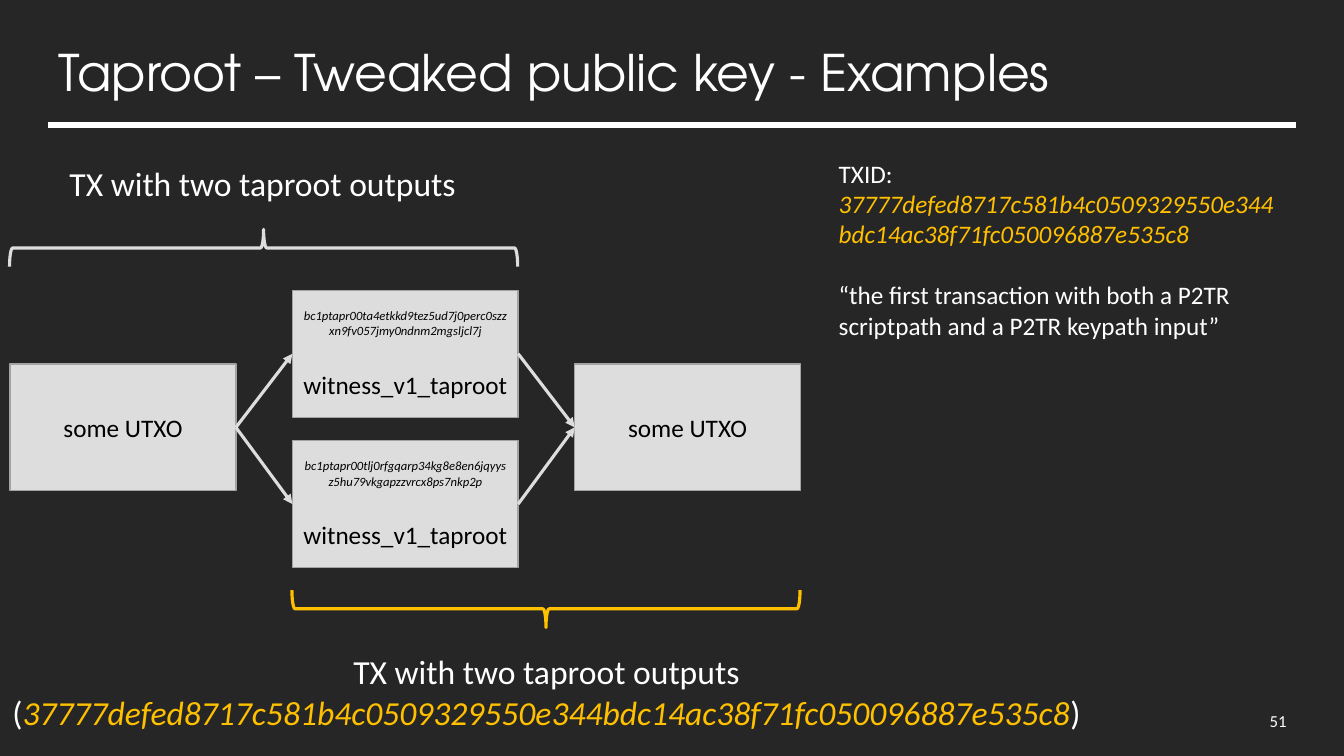
"""Build the slide on a tweaked Taproot public key."""
from dataclasses import dataclass

from lxml.etree import SubElement
from pptx import Presentation
from pptx.dml.color import RGBColor as Rgb
from pptx.enum.shapes import MSO_CONNECTOR as Connector, MSO_SHAPE as Preset
from pptx.enum.text import MSO_ANCHOR as Anchor, PP_ALIGN as Align
from pptx.oxml.ns import qn
from pptx.util import Pt

PX = 9144
TXID = "37777defed8717c581b4c0509329550e344bdc14ac38f71fc050096887e535c8"
OUTPUTS = (
    "bc1ptapr00ta4etkkd9tez5ud7j0perc0szzxn9fv057jmy0ndnm2mgsljcl7j",
    "bc1ptapr00tlj0rfgqarp34kg8e8en6jqyysz5hu79vkgapzzvrcx8ps7nkp2p",
)
CAPTION = "TX with two taproot outputs"


@dataclass(frozen=True)
class Theme:
    """Hold the colours, fonts and type sizes."""
    background: str = "262626"
    light: str = "FFFFFF"
    accent: str = "FFC000"
    box: str = "DDDDDD"
    border: str = "A3A3A3"
    ink: str = "000000"
    body_font: str = "Calibri"
    title_font: str = "TeX Gyre Adventor"
    title: int = 36
    caption: int = 24
    body: int = 18
    number: int = 12
    address: int = 9
    blank_line: int = 22


THEME = Theme()


def emu(*lengths):
    """Turn px lengths into EMU."""
    return [length * PX for length in lengths]


def assign(target, values):
    """Set attributes of an object from a dict."""
    for name, value in values.items():
        setattr(target, name, value)


def style_line(line, color, width):
    """Give a line its colour and its width in points."""
    line.color.rgb = Rgb.from_string(color)
    line.width = Pt(width)


def run(text, size=THEME.body, color=THEME.light, italic=False, font=THEME.body_font):
    """Describe one run of text as its wording, colour and font values."""
    return text, color, {"size": Pt(size), "name": font, "italic": italic}


def write(shape, paragraphs, frame=None, gap=0, **layout):
    """Fill a shape with paragraphs, each a list of described runs."""
    text_frame = shape.text_frame
    assign(text_frame, {"word_wrap": True, **(frame or {})})
    for index, runs in enumerate(paragraphs):
        paragraph = text_frame.add_paragraph() if index else text_frame.paragraphs[0]
        assign(paragraph, layout)
        if index and gap:
            paragraph.space_before = Pt(gap)
        for text, color, values in runs:
            piece = paragraph.add_run()
            piece.text = text
            assign(piece.font, values)
            piece.font.color.rgb = Rgb.from_string(color)


def add_text(slide, box, paragraphs, **options):
    """Place a text box."""
    write(slide.shapes.add_textbox(*emu(*box)), paragraphs, **options)


def add_line(slide, ends, color, width):
    """Draw a straight line without a shadow."""
    line = slide.shapes.add_connector(Connector.STRAIGHT, *emu(*ends))
    style_line(line.line, color, width)
    SubElement(line._element.spPr, qn("a:effectLst"))
    return line


def add_arrow(slide, source, target):
    """Join the right side of one box to the left side of another."""
    arrow = add_line(slide, (0, 0, 0, 0), THEME.box, 2.25)
    arrow.begin_connect(source, 3)
    arrow.end_connect(target, 1)
    SubElement(arrow.line._get_or_add_ln(), qn("a:tailEnd"), type="triangle")


def add_box(slide, box, paragraphs):
    """Draw a transaction box."""
    shape = slide.shapes.add_shape(Preset.RECTANGLE, *emu(*box))
    shape.shadow.inherit = False
    shape.fill.solid()
    shape.fill.fore_color.rgb = Rgb.from_string(THEME.box)
    style_line(shape.line, THEME.border, 1)
    write(shape, paragraphs, {"vertical_anchor": Anchor.MIDDLE},
          gap=THEME.blank_line, alignment=Align.CENTER)
    return shape


def add_brace(slide, box, rotation, color):
    """Draw a horizontal brace that fills the given box."""
    left, top, width, height = box
    shift = (width - height) // 2
    brace = slide.shapes.add_shape(
        Preset.RIGHT_BRACE, *emu(left + shift, top - shift, height, width))
    brace.rotation = rotation
    brace.shadow.inherit = False
    brace.fill.background()
    style_line(brace.line, color, 2.25)


def add_header(slide, box):
    """Place the title and the rule below it."""
    left, top, width, height = box
    title = [run("Taproot – Tweaked public key - Examples",
                 THEME.title, font=THEME.title_font)]
    add_text(slide, (left, top, width, height), [title],
             frame={"vertical_anchor": Anchor.MIDDLE}, line_spacing=0.9)
    rule = top + height + 14
    add_line(slide, (left, rule, left + width, rule), THEME.light, 4.5)


def add_flow(slide, box):
    """Place the boxes, arrows, braces and captions of the transaction flow."""
    left, top, width, height = box
    box_width, box_height, row_step = 224, 126, 149
    column_step = (width - box_width) // 2
    middle = left + column_step
    end_top = top + 204
    utxo = [[run("some UTXO", color=THEME.ink)]]
    source, target = [
        add_box(slide, (left + column * column_step, end_top, box_width, box_height), utxo)
        for column in (0, 2)]
    for row, address in enumerate(OUTPUTS):
        output = add_box(
            slide, (middle, top + 131 + row * row_step, box_width, box_height),
            [[run(address, THEME.address, THEME.ink, True)],
             [run("witness_v1_taproot", color=THEME.ink)]])
        add_arrow(slide, source, output)
        add_arrow(slide, output, target)

    brace_width = column_step + box_width
    add_brace(slide, (left, top + 70, brace_width, 37), 270, THEME.box)
    add_brace(slide, (middle, top + 428, brace_width, 37), 90, THEME.accent)
    caption = [run(CAPTION, THEME.caption)]
    add_text(slide, (left + 49, top, 407, 50), [caption], frame={"word_wrap": False})
    txid = [run("(", THEME.caption),
            run(TXID, THEME.caption, THEME.accent, True),
            run(")", THEME.caption)]
    add_text(slide, (left - 12, top + height - 91, 1088, 91), [caption, txid],
             frame={"word_wrap": False}, alignment=Align.CENTER)


def add_note(slide, box):
    """Place the transaction id and the quotation about it."""
    quote = "“the first transaction with both a P2TR scriptpath and a P2TR keypath input”"
    add_text(slide, box,
             [[run("TXID: "), run(TXID, color=THEME.accent, italic=True)], [run(quote)]],
             gap=THEME.blank_line)


def add_number(slide, box):
    """Place the slide number."""
    add_text(slide, box, [[run("51", THEME.number)]],
             frame={"vertical_anchor": Anchor.MIDDLE}, alignment=Align.RIGHT)


def main():
    """Build the slide and save it."""
    presentation = Presentation()
    presentation.slide_width, presentation.slide_height = emu(1333, 750)
    slide = presentation.slides.add_slide(presentation.slide_layouts[6])
    slide.background.fill.solid()
    slide.background.fill.fore_color.rgb = Rgb.from_string(THEME.background)
    add_header(slide, (48, 40, 1237, 70))
    add_flow(slide, (10, 157, 785, 575))
    add_note(slide, (822, 152, 463, 192))
    add_number(slide, (1179, 695, 107, 40))
    presentation.save("out.pptx")


if __name__ == "__main__":
    main()
